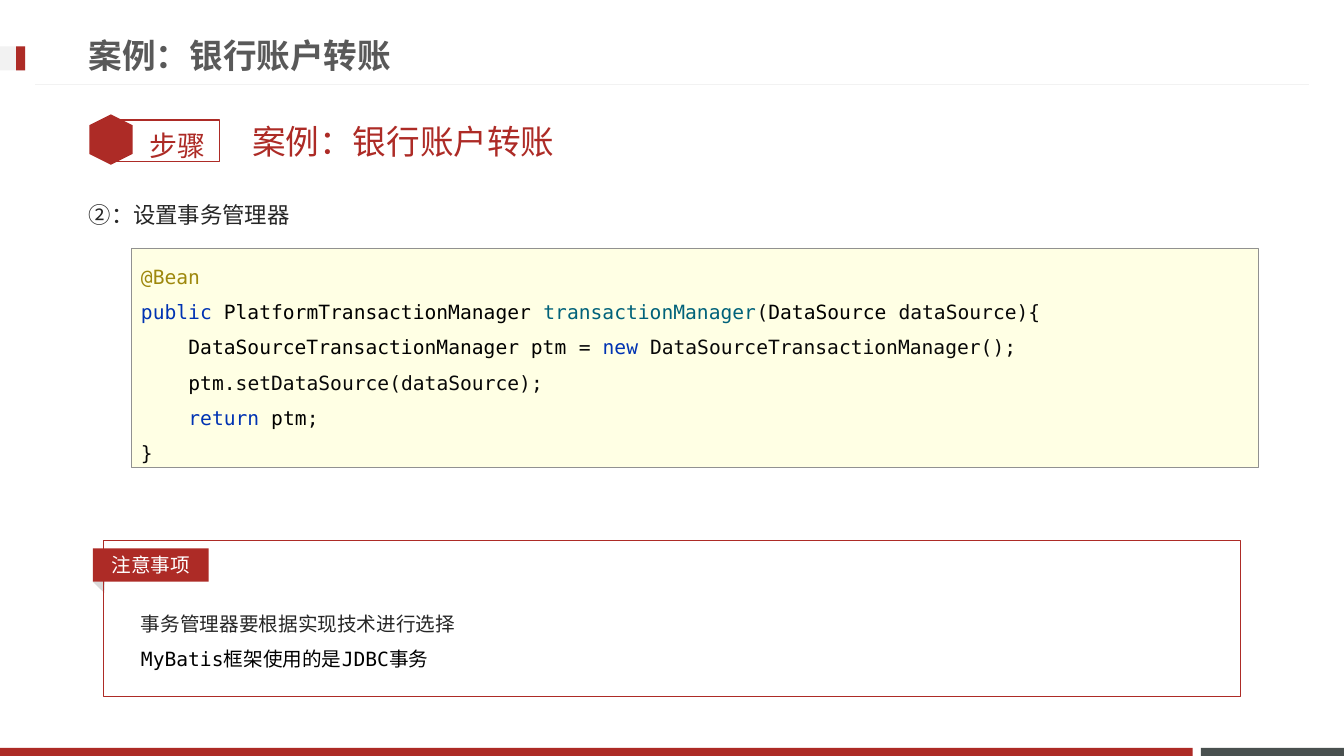
from typing import NamedTuple, Optional

from lxml import etree
from pptx import Presentation
from pptx.dml.color import RGBColor
from pptx.enum.shapes import MSO_CONNECTOR, MSO_SHAPE
from pptx.enum.text import MSO_ANCHOR, MSO_AUTO_SIZE, PP_ALIGN
from pptx.oxml.ns import qn
from pptx.util import Inches, Pt

RECT, HEXAGON, TRIANGLE = MSO_SHAPE.RECTANGLE, MSO_SHAPE.HEXAGON, MSO_SHAPE.ISOSCELES_TRIANGLE
STRAIGHT = MSO_CONNECTOR.STRAIGHT
TOP, MIDDLE = MSO_ANCHOR.TOP, MSO_ANCHOR.MIDDLE
LEFT, CENTER = PP_ALIGN.LEFT, PP_ALIGN.CENTER
NO_FIT = MSO_AUTO_SIZE.NONE

MONO, ROBOTO, LATO = "DejaVu Sans Mono", "Roboto", "Lato"
RED, WHITE, BLACK, DARK = "AD2B26", "FFFFFF", "000000", "262626"
PALE, KEYWORD, METHOD, PLAIN, ANNOTATION = "F2F2F2", "0033B3", "00627A", "080808", "9E880D"
CODE_INDENT = Inches(0.47)


class Box(NamedTuple):
    x: float
    y: float
    w: float
    h: float


class Panel(NamedTuple):
    box: Box
    fill: Optional[str] = None
    line: Optional[str] = None
    width: float = 0.75
    kind: int = RECT
    rotation: float = 0


class Run(NamedTuple):
    text: str
    color: str
    font: str = MONO


class Line(NamedTuple):
    runs: list[Run]
    level: int = 0


class Style(NamedTuple):
    size: int
    spacing: float = 1.0
    anchor: int = TOP
    align: int = LEFT
    bold: bool = False


def rgb(value: str) -> RGBColor:
    return RGBColor.from_string(value)


def place(s, box: Box) -> None:
    s.left, s.top, s.width, s.height = (Inches(v) for v in box)


def draw_panel(slide, panel: Panel):
    s = slide.shapes.add_shape(panel.kind, *(Inches(v) for v in panel.box))
    s.shadow.inherit = False
    s.rotation = panel.rotation
    if panel.fill:
        s.fill.solid()
        s.fill.fore_color.rgb = rgb(panel.fill)
    else:
        s.fill.background()
    if panel.line:
        s.line.color.rgb = rgb(panel.line)
        s.line.width = Pt(panel.width)
    else:
        s.line.fill.background()
    return s


def write(s, lines: list[Line], style: Style) -> None:
    tf = s.text_frame
    tf.word_wrap = True
    tf.auto_size = NO_FIT
    tf.vertical_anchor = style.anchor
    for i, line in enumerate(lines):
        p = tf.add_paragraph() if i else tf.paragraphs[0]
        p.alignment = style.align
        p.line_spacing = style.spacing
        pPr = p._p.get_or_add_pPr()
        pPr.set("marL", str(line.level * CODE_INDENT))
        pPr.set("indent", "0")
        etree.SubElement(pPr, qn("a:buNone"))
        for run in line.runs:
            r = p.add_run()
            r.text = run.text
            r.font.name = run.font
            r.font.size = Pt(style.size)
            r.font.bold = style.bold
            r.font.color.rgb = rgb(run.color)


def add_text(slide, box: Box, lines: list[Line], style: Style) -> None:
    s = slide.shapes.add_textbox(*(Inches(v) for v in box))
    write(s, lines, style)


def fill_placeholder(s, box: Box, run: Run, style: Style) -> None:
    place(s, box)
    write(s, [Line([run])], style)


def draw_rule(slide, x1: float, x2: float, y: float) -> None:
    s = slide.shapes.add_connector(STRAIGHT, Inches(x1), Inches(y), Inches(x2), Inches(y))
    s.line.color.rgb = rgb(PALE)
    s.line.width = Pt(0.75)
    etree.SubElement(s._element.spPr, qn("a:effectLst"))


DECOR = [
    Panel(Box(11.91, 7.42, 1.42, 0.08), "49504F"),
    Panel(Box(0, 7.42, 11.83, 0.08), RED),
    Panel(Box(0, 0.46, 0.25, 0.24), PALE),
    Panel(Box(0.16, 0.46, 0.09, 0.24), RED),
    Panel(Box(1.09, 1.19, 1.09, 0.41), line=RED, width=1),
    Panel(Box(0.85, 1.17, 0.5, 0.43), RED, kind=HEXAGON, rotation=90),
    Panel(Box(0.93, 5.75, 0.16, 0.09), "D9D9D9", kind=TRIANGLE, rotation=44.2),
    Panel(Box(1.03, 5.36, 11.27, 1.55), line=RED),
]
CODE_PANEL = Panel(Box(1.3, 2.46, 11.18, 2.18), "FFFFE4", "919191", 0.25)
NOTICE_TAG = Panel(Box(0.92, 5.44, 1.15, 0.33), RED)

CODE = [
    Line([Run("@Bean", ANNOTATION)]),
    Line([Run("public ", KEYWORD), Run("PlatformTransactionManager ", BLACK),
          Run("transactionManager", METHOD), Run("(", PLAIN),
          Run("DataSource ", BLACK), Run("dataSource){", PLAIN)]),
    Line([Run("DataSourceTransactionManager ptm ", BLACK), Run("= ", PLAIN),
          Run("new ", KEYWORD), Run("DataSourceTransactionManager();", PLAIN)], 1),
    Line([Run("ptm", BLACK), Run(".setDataSource(dataSource);", PLAIN)], 1),
    Line([Run("return ", KEYWORD), Run("ptm", BLACK), Run(";", PLAIN)], 1),
    Line([Run("}", PLAIN)]),
]
NOTES = [
    Line([Run("事务管理器要根据实现技术进行选择", DARK, ROBOTO)]),
    Line([Run("MyBatis框架使用的是JDBC事务", BLACK)]),
]
TOPIC = "案例：银行账户转账"

prs = Presentation()
prs.slide_width, prs.slide_height = Inches(13.33), Inches(7.5)
slide = prs.slides.add_slide(prs.slide_layouts.get_by_name("Two Content"))
title, heading, step = slide.placeholders

for panel in DECOR:
    draw_panel(slide, panel)
draw_rule(slide, 12.98, 0.35, 0.84)

fill_placeholder(title, Box(0.78, 0.26, 9.59, 0.57), Run(TOPIC, "595959"),
                 Style(24, anchor=MIDDLE, bold=True))
fill_placeholder(heading, Box(2.4, 1.11, 10.08, 0.57), Run(TOPIC, RED),
                 Style(24, anchor=MIDDLE))
fill_placeholder(step, Box(0.78, 1.81, 10.08, 0.83), Run("②：设置事务管理器", DARK),
                 Style(16, 1.5))

add_text(slide, Box(1.38, 1.06, 0.85, 0.56), [Line([Run("步骤", RED, LATO)])], Style(20, 1.5))
write(draw_panel(slide, CODE_PANEL), CODE, Style(14, 1.5))
add_text(slide, Box(1.3, 5.9, 11, 0.81), NOTES, Style(14, 1.5))
write(draw_panel(slide, NOTICE_TAG), [Line([Run("注意事项", WHITE, ROBOTO)])],
      Style(14, anchor=MIDDLE, align=CENTER))

prs.save("out.pptx")
